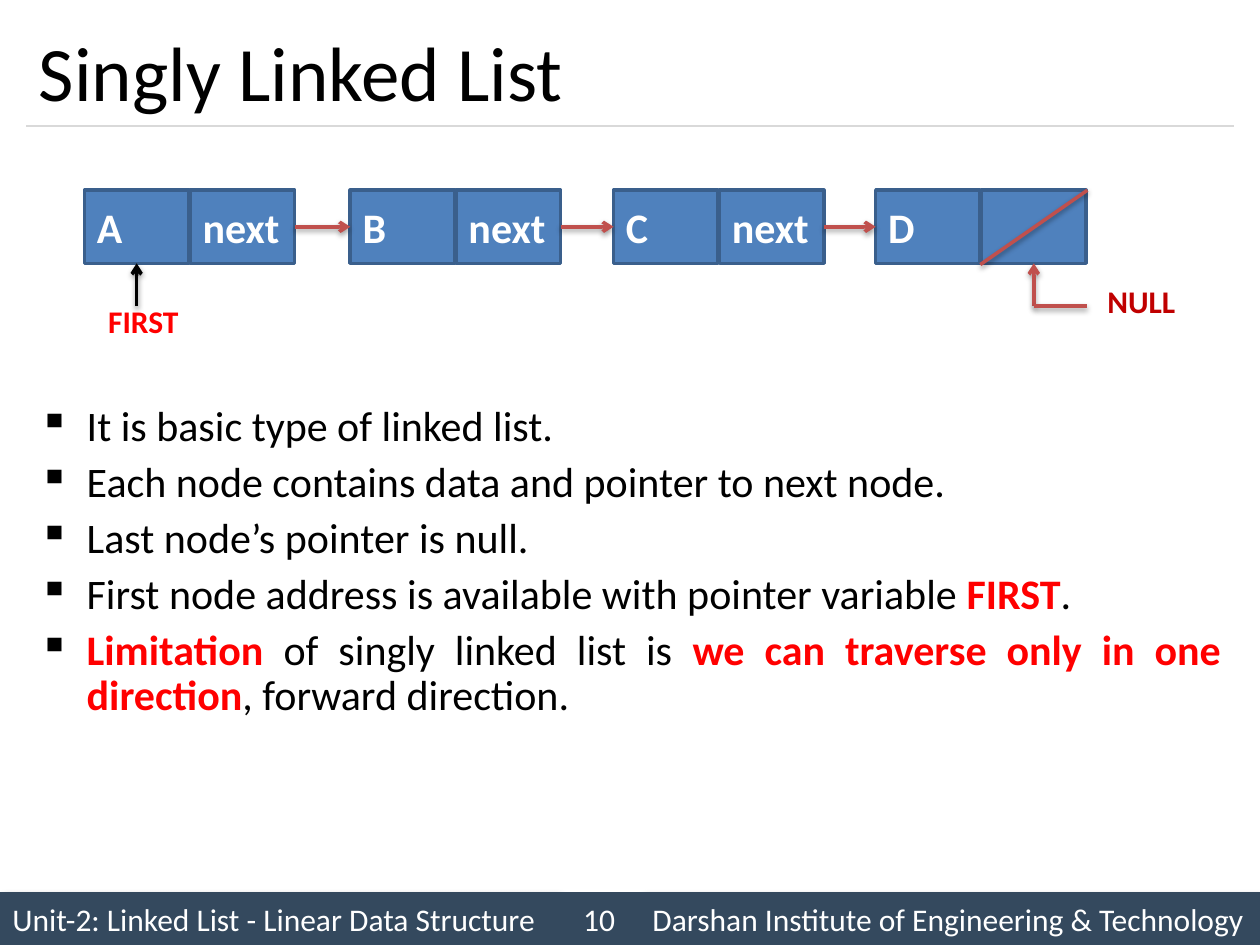
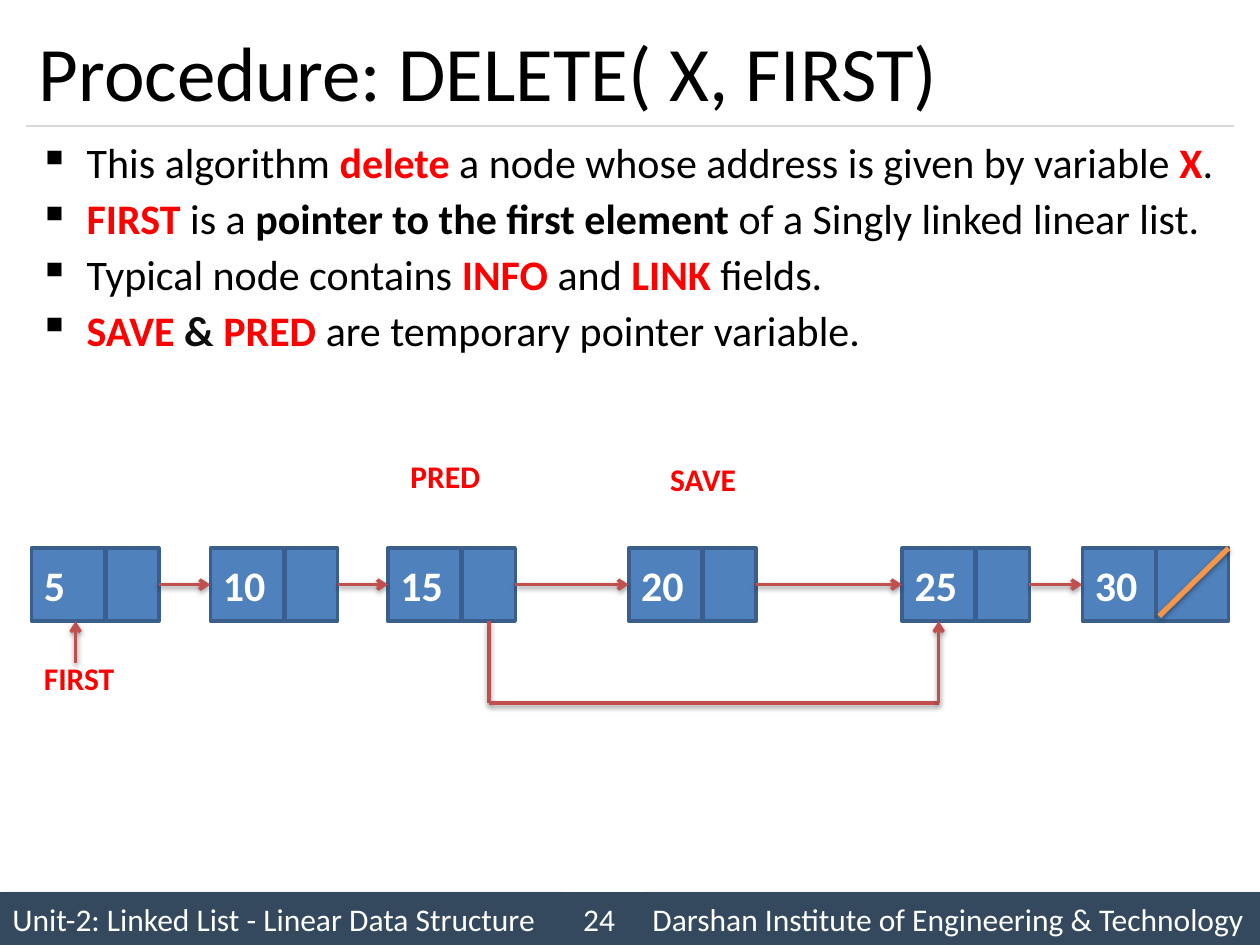
from pptx import Presentation
from pptx.dml.color import RGBColor
from pptx.enum.shapes import MSO_CONNECTOR, MSO_SHAPE
from pptx.enum.text import MSO_ANCHOR, PP_ALIGN
from pptx.oxml import parse_xml
from pptx.oxml.ns import nsdecls, qn
from pptx.util import Inches, Pt

FONT = "Calibri"
BLACK, WHITE, RED, DARK_RED = "000000", "FFFFFF", "FF0000", "C00000"
NEAR_BLACK, BAND, RULE = "0D0D0D", "34495E", "D9D9D9"
NODE_FILL, NODE_LINE = "4F81BD", "3A5F8C"
ARROW, SLASH = "C0504D", "F79646"

NODE_HEIGHT = 0.58
CELL_GAP = 0.01
TOP, LEFT, BOTTOM, RIGHT = range(4)


def rgb(hex_string):
    return RGBColor.from_string(hex_string)


def point(x, y):
    return Inches(x), Inches(y)


def below(shape, drop):
    """Return the point straight under the middle of a shape's bottom side."""
    return shape.left + shape.width // 2, shape.top + shape.height + Inches(drop)


def set_shadow(shape, alpha=0, blur=0, distance=0, angle=0):
    """Replace the theme shadow by the given one, or by none if alpha is 0."""
    shadow = ""
    if alpha:
        shadow = (
            f'<a:outerShdw blurRad="{Pt(blur)}" dist="{Pt(distance)}" '
            f'dir="{angle * 60000}" algn="tl" rotWithShape="0"><a:srgbClr val="{BLACK}">'
            f'<a:alpha val="{alpha * 1000}"/></a:srgbClr></a:outerShdw>'
        )
    effects = parse_xml(f'<a:effectLst {nsdecls("a")}>{shadow}</a:effectLst>')
    shape._element.spPr.append(effects)


class Deck:
    """Holds the presentation, the slide being drawn and the shared style."""

    def __init__(self):
        self.presentation = Presentation()
        self.presentation.slide_width = Inches(10)
        self.presentation.slide_height = Inches(7.5)
        self.slide = None

    def new_slide(self, title, number):
        layout = self.presentation.slide_layouts[6]
        self.slide = self.presentation.slides.add_slide(layout)
        self.footer(0, 4.42, "Unit-2: Linked List - Linear Data Structure")
        self.footer(5.08, 4.92, "Darshan Institute of Engineering & Technology")
        self.footer(4.42, 0.67, str(number), centred=True)
        self.line(point(0.21, 1), point(9.79, 1), RULE, 0.75, shadow=False)
        heading = self.text_box(0.21, 0.12, 9.58, 0.88)
        heading.vertical_anchor = MSO_ANCHOR.MIDDLE
        heading.text = title
        self.format(heading.paragraphs[0].runs[0], 44, BLACK)

    def format(self, run, size, color, bold=False):
        run.font.name = FONT
        run.font.size = Pt(size)
        run.font.bold = bold
        run.font.color.rgb = rgb(color)

    def text_box(self, left, top, width, height, wrap=True):
        box = self.slide.shapes.add_textbox(*point(left, top), *point(width, height))
        box.text_frame.word_wrap = wrap
        return box.text_frame

    def rectangle(self, left, top, width, height, fill, text, size, bold=False):
        shape = self.slide.shapes.add_shape(
            MSO_SHAPE.RECTANGLE, *point(left, top), *point(width, height))
        shape.fill.solid()
        shape.fill.fore_color.rgb = rgb(fill)
        if text:
            shape.text_frame.text = text
            self.format(shape.text_frame.paragraphs[0].runs[0], size, WHITE, bold)
        return shape

    def footer(self, left, width, text, centred=False):
        band = self.rectangle(left, 7.08, width, 0.42, BAND, text, 18)
        band.line.fill.background()
        paragraph = band.text_frame.paragraphs[0]
        if centred:
            paragraph.alignment = PP_ALIGN.CENTER
            set_shadow(band)
        else:
            paragraph.alignment = PP_ALIGN.LEFT
            set_shadow(band, 40, 4, 3, 45)

    def cell(self, left, top, width, text):
        shape = self.rectangle(left, top, width, NODE_HEIGHT, NODE_FILL, text, 24, True)
        shape.text_frame.word_wrap = False
        shape.line.color.rgb = rgb(NODE_LINE)
        shape.line.width = Pt(2)
        set_shadow(shape)
        return shape

    def node(self, left, top, data_width, link_width, data, link=""):
        """Draw a list node and return its data cell and its link cell."""
        data_cell = self.cell(left, top, data_width, data)
        link_left = left + data_width + CELL_GAP
        return data_cell, self.cell(link_left, top, link_width, link)

    def chain(self, nodes):
        for (_, link), (data, _) in zip(nodes, nodes[1:]):
            self.line((link, RIGHT), (data, LEFT), head=True)

    def line(self, start, end, color=ARROW, width=2, head=False, shadow=True):
        """Draw a line; each end is a point or a (shape, side) pair to join."""
        connector = self.slide.shapes.add_connector(MSO_CONNECTOR.STRAIGHT, 0, 0, 0, 0)
        if hasattr(start[0], "text_frame"):
            connector.begin_connect(*start)
        else:
            connector.begin_x, connector.begin_y = start
        if hasattr(end[0], "text_frame"):
            connector.end_connect(*end)
        else:
            connector.end_x, connector.end_y = end
        connector.line.color.rgb = rgb(color)
        connector.line.width = Pt(width)
        if head:
            outline = connector._element.spPr.find(qn("a:ln"))
            outline.append(parse_xml(f'<a:tailEnd {nsdecls("a")} type="arrow"/>'))
        if shadow:
            set_shadow(connector, 38, 3.1, 1.6, 90)
        else:
            set_shadow(connector)

    def label(self, left, top, width, text, color=RED):
        frame = self.text_box(left, top, width, 0.4, wrap=False)
        frame.text = text
        self.format(frame.paragraphs[0].runs[0], 18, color, bold=True)

    def bullets(self, top, height, items):
        """Write bullets; a part is plain text or a (bold text, colour) pair."""
        frame = self.text_box(0.21, top, 9.58, height)
        for index, parts in enumerate(items):
            paragraph = frame.add_paragraph() if index else frame.paragraphs[0]
            properties = paragraph._p.get_or_add_pPr()
            properties.set("marL", str(Inches(0.38)))
            properties.set("indent", str(Inches(-0.38)))
            for bullet in (f'<a:buClr {nsdecls("a")}><a:srgbClr val="{BLACK}"/></a:buClr>',
                           f'<a:buChar {nsdecls("a")} char="▪"/>'):
                properties.append(parse_xml(bullet))
            paragraph.alignment = PP_ALIGN.JUSTIFY
            paragraph.line_spacing = 0.9
            paragraph.space_before = Pt(6 if index else 0)
            for part in parts:
                bold = isinstance(part, tuple)
                text, color = part if bold else (part, BLACK)
                run = paragraph.add_run()
                run.text = text
                self.format(run, 24, color, bold)


def add_singly_linked_list(deck):
    deck.new_slide("Singly Linked List", 10)
    deck.bullets(3.17, 2.75, [
        ["It is basic type of linked list."],
        ["Each node contains data and pointer to next node."],
        ["Last node’s pointer is null."],
        ["First node address is available with pointer variable ", ("FIRST", RED), "."],
        [("Limitation ", RED), "of singly linked list is ",
         ("we can traverse only in one direction", RED), ", forward direction."],
    ])
    nodes = [
        deck.node(left, 1.51, 0.83, 0.83, data, link)
        for left, data, link in [(0.67, "A", "next"), (2.78, "B", "next"),
                                 (4.87, "C", "next"), (6.95, "D", "")]
    ]
    deck.chain(nodes)
    deck.line(point(8.63, 1.51), point(7.78, 2.1))

    first, null = nodes[0][0], nodes[-1][1]
    deck.label(0.76, 2.35, 0.77, "FIRST")
    deck.line(below(first, 0.34), (first, BOTTOM), BLACK, head=True)
    corner = below(null, 0.34)
    deck.line(corner, (null, BOTTOM), head=True)
    deck.line(corner, (Inches(8.63), corner[1]))
    deck.label(8.69, 2.19, 0.81, "NULL", DARK_RED)


def add_delete_procedure(deck):
    deck.new_slide("Procedure: DELETE( X, FIRST)", 24)
    deck.bullets(1.08, 2, [
        ["This algorithm ", ("delete", RED),
         " a node whose address is given by variable ", ("X", RED), "."],
        [("FIRST", RED), " is a ", ("pointer to the first element", BLACK),
         " of a Singly linked linear list."],
        ["Typical node contains ", ("INFO ", RED), "and ", ("LINK ", RED), "fields."],
        [("SAVE ", RED), ("&", NEAR_BLACK), (" PRED ", RED),
         "are temporary pointer variable."],
    ])
    nodes = [
        deck.node(left, 4.35, 0.58, link_width, data)
        for left, link_width, data in [
            (0.25, 0.42, "5"), (1.67, 0.42, "10"), (3.08, 0.42, "15"),
            (4.99, 0.42, "20"), (7.16, 0.42, "25"), (8.59, 0.57, "30")]
    ]
    deck.chain(nodes)
    deck.line(point(9.2, 4.89), point(9.75, 4.35), SLASH, 3)

    deck.label(0.25, 5.18, 0.77, "FIRST")
    deck.line(point(0.6, 5.26), point(0.6, 4.93), head=True)
    deck.label(3.16, 3.58, 0.76, "PRED")
    deck.label(5.22, 3.6, 0.73, "SAVE")

    pred_link, next_data = nodes[2][1], nodes[4][0]
    bypass_start, bypass_end = below(pred_link, 0.65), below(next_data, 0.65)
    deck.line((pred_link, BOTTOM), bypass_start)
    deck.line(bypass_start, bypass_end)
    deck.line(bypass_end, (next_data, BOTTOM), head=True)


def main():
    deck = Deck()
    add_singly_linked_list(deck)
    add_delete_procedure(deck)
    deck.presentation.save("out.pptx")


if __name__ == "__main__":
    main()
